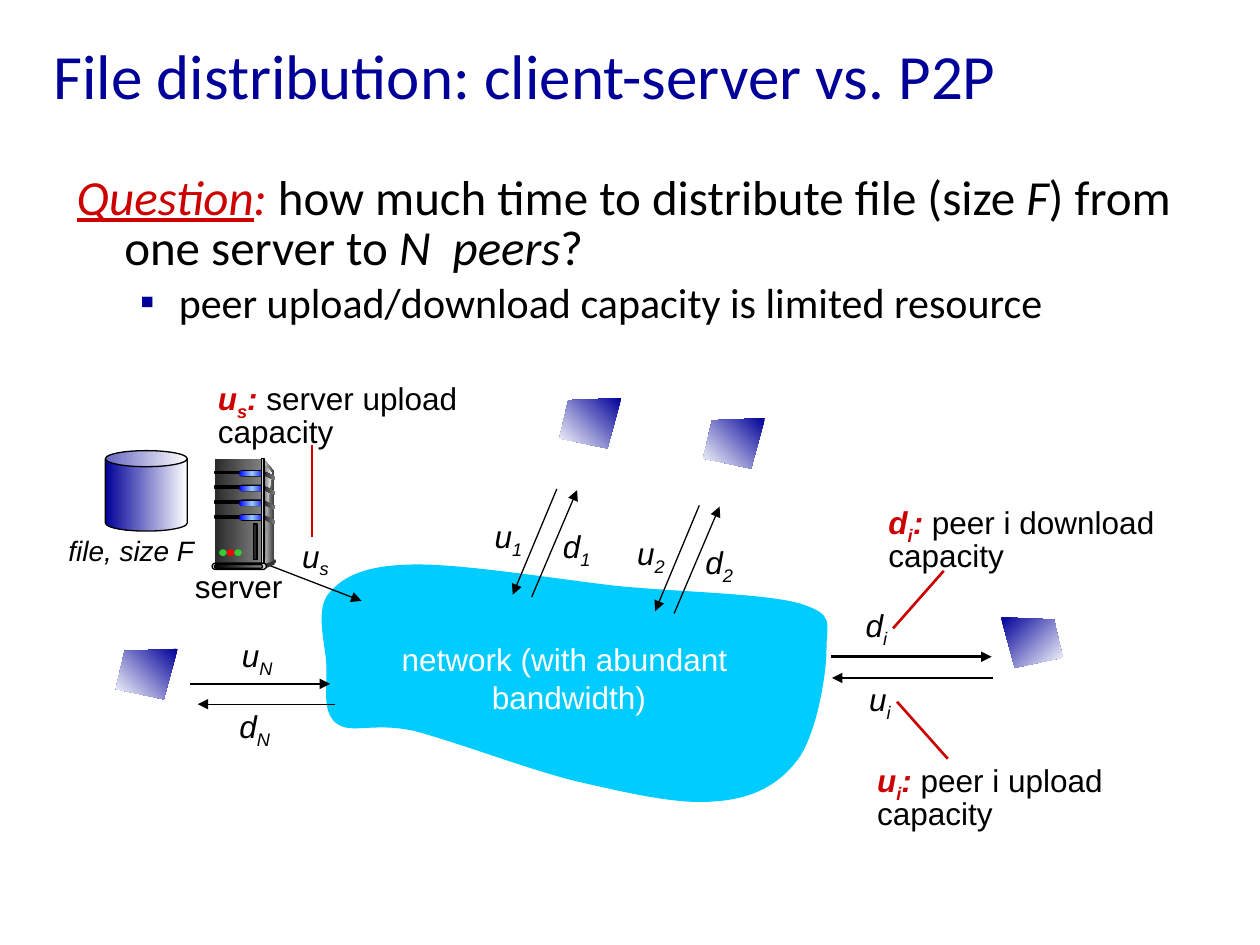
from dataclasses import dataclass
from typing import NamedTuple, Optional, Sequence, Union

from lxml import etree
from pptx import Presentation
from pptx import util as u
from pptx.dml.color import RGBColor
from pptx.enum import shapes, text
from pptx.oxml.ns import qn

Pt, SHAPE = u.Pt, shapes.MSO_SHAPE
RECT, PILL, OVAL = SHAPE.RECTANGLE, SHAPE.ROUNDED_RECTANGLE, SHAPE.OVAL
Fill = Union[str, Sequence[str]]  # one colour, or evenly spaced gradient stops
Point = tuple[float, float]
COLOURS = {
    "navy": "000099", "red": "CC0000", "black": "000000", "white": "FFFFFF", "cyan": "00CCFF",
    "dark": "292929", "slate": "333333", "grey": "808080", "silver": "DDDDDD", "pale": "F8F8F8",
    "blue": "0000FF", "sky": "99CCFF", "green": "33CC33", "signal": "FF0000",
}
CASE, FADE = ("dark", "grey"), ("navy", "white")

@dataclass
class Span:
    words: str
    colour: str = "black"
    bold: bool = False
    italic: bool = False
    underline: bool = False
    sub: bool = False
    gap: float = 0

@dataclass
class Label:
    bounds: tuple[float, float, float, float]
    lines: list[list[Span]]
    size: float = 18
    font: str = "Arial"
    centred: bool = False
    spacing: Optional[float] = None
    anchor: text.MSO_ANCHOR = text.MSO_ANCHOR.TOP

class Link(NamedTuple):
    start: Point
    end: Point
    colour: str = "black"
    weight: float = 0.75
    arrow: bool = True

def rgb(name: str) -> RGBColor:
    return RGBColor.from_string(COLOURS[name])

def paint(shape, fill: Fill, outlined: bool = False, angle: float = 0) -> None:
    shape.shadow.inherit = False
    if isinstance(fill, str):
        shape.fill.solid()
        shape.fill.fore_color.rgb = rgb(fill)
    else:
        shape.fill.gradient()
        shape.fill.gradient_angle = -angle % 360
        stops = next(shape._element.spPr.iter(qn("a:gsLst")))
        stops[:] = []
        for i, name in enumerate(fill):
            stop = etree.SubElement(stops, qn("a:gs"), pos=str(100000 * i // (len(fill) - 1)))
            etree.SubElement(stop, qn("a:srgbClr"), val=COLOURS[name])
    if outlined:
        shape.line.color.rgb, shape.line.width = rgb("black"), Pt(0.75)
    else:
        shape.line.fill.background()

def draw_label(page, label: Label):
    box = page.shapes.add_textbox(*map(Pt, label.bounds))
    frame = box.text_frame
    frame.word_wrap, frame.vertical_anchor = True, label.anchor
    for i, line in enumerate(label.lines):
        para = frame.add_paragraph() if i else frame.paragraphs[0]
        para.alignment = text.PP_ALIGN.CENTER if label.centred else None
        para.line_spacing = label.spacing
        for item in line:
            span = para.add_run()
            span.text = item.words
            font = span.font
            font.name, font.size, font.color.rgb = label.font, Pt(label.size), rgb(item.colour)
            font.bold, font.italic, font.underline = item.bold, item.italic, item.underline
            if item.sub:
                span._r.get_or_add_rPr().set("baseline", "-25000")
            if item.gap:
                span._r.get_or_add_rPr().set("spc", str(round(item.gap * 100)))
    return box

def draw_link(page, link: Link) -> None:
    line = page.shapes.add_connector(shapes.MSO_CONNECTOR.STRAIGHT, *map(Pt, link.start + link.end))
    line.line.color.rgb, line.line.width = rgb(link.colour), Pt(link.weight)
    if link.arrow:
        etree.SubElement(line.line._get_or_add_ln(), qn("a:tailEnd"), type="triangle")
    etree.SubElement(line._element.spPr, qn("a:effectLst"))

def draw_part(page, kind: SHAPE, bounds: Sequence[float], fill: Fill, outlined: bool = False):
    shape = page.shapes.add_shape(kind, *map(Pt, bounds))
    if kind == PILL:
        shape.adjustments[0] = 0.5
    paint(shape, fill, outlined)
    return shape

def draw_outline(page, points: Sequence[Point], fill: Fill, angle: float = 0, curves: int = 0) -> None:
    """Closed outline whose first segments, three points each, are cubic curves."""
    corners = [(Pt(x), Pt(y)) for x, y in points]
    builder = page.shapes.build_freeform(*corners[0])
    builder.add_line_segments(corners[1:], close=True)
    shape = builder.convert_to_shape()
    steps = list(shape._element.spPr.iter(qn("a:lnTo")))
    for i in range(0, curves * 3, 3):
        bend = etree.Element(qn("a:cubicBezTo"))
        steps[i].addprevious(bend)
        for step in steps[i:i + 3]:
            bend.append(step[0])
            step.getparent().remove(step)
    paint(shape, fill, angle=angle)

def draw_rate(page, left: float, top: float, letter: str, index: str) -> None:
    spans = [Span(letter, italic=True), Span(index, italic=True, sub=True)]
    draw_label(page, Label((left, top, 48, 28.8), [spans]))

def draw_callout(page, left: float, top: float, width: float, letter: str, index: str, meaning: str) -> None:
    red = dict(colour="red", bold=True, italic=True)
    spans = [Span(letter, **red), Span(index, sub=True, **red), Span(":", **red), Span(" " + meaning)]
    draw_label(page, Label((left, top, width, 44), [spans], spacing=0.85))

def draw_screen(page, left: float, top: float, mirrored: bool = False) -> None:
    corners = [(35.3, 0), (5, 1.2), (0, 23), (27.4, 28.8)]
    points = [(left + (35.3 - x if mirrored else x), top + y) for x, y in corners]
    draw_outline(page, points, FADE, 45 if mirrored else 135)

def draw_server(page) -> None:
    # Case
    draw_outline(page, [(151.2, 262.8), (157, 270), (157, 320.4), (149.8, 322.6)], ("silver", "slate"))
    draw_part(page, RECT, (122.7, 262.1, 26.6, 60.5), CASE)
    draw_outline(page, [(151.2, 266.4), (151.2, 266.4), (152.6, 266.4), (155.5, 270.7),
                        (151.2, 293), (151.9, 321.8), (151.2, 321.1)], ("grey", "pale"), curves=2)
    # Drive slots
    for i in range(4):
        y = 269.3 + 8.4 * i
        draw_outline(page, [(150.8, y), (157.2, y + 3), (157, y + 5.2), (150.8, y + 2.2)], CASE)
        draw_part(page, RECT, (122.8, y, 15.1, 1.5), "black", True)
        draw_part(page, PILL, (136.5, y - 0.7, 15.1, 3.8), "black")
        draw_part(page, PILL, (136.8, y, 14.4, 2.8), ("blue", "sky", "blue"))
    # Edge, foot and lamps
    draw_part(page, RECT, (149.3, 262.1, 1.6, 60.5), ("slate", "silver", "slate"), True)
    draw_part(page, OVAL, (156.2, 319.7, 1.5, 2.2), "slate")
    draw_outline(page, [(150.5, 322.6), (150.5, 325.4), (157, 322.6), (157, 320.4)], "slate")
    draw_part(page, PILL, (121.2, 321.8, 31, 3.6), "silver", True)
    draw_part(page, PILL, (122.6, 322.6, 27.4, 2.2), ("black", "grey"), True)
    for i, colour in enumerate(("green", "signal", "green")):
        draw_part(page, OVAL, (125.3 + 4.3 * i, 313.9, 4.3, 3.8), colour)
    draw_part(page, RECT, (144.7, 299.5, 2.2, 20.2), "dark", True)

def draw_question(page) -> None:
    question = [Span("Question", "red", italic=True, underline=True), Span(":", "red", italic=True),
                Span(" how much time to distribute file (size "), Span("F", italic=True),
                Span(") from one server to "), Span("N", italic=True), Span(" ", italic=True, gap=6.3),
                Span("peers", italic=True), Span("?")]
    limit = [Span("peer upload/download capacity is limited resource")]
    box = draw_label(page, Label((36.7, 96.5, 650, 70), [question, limit], 28, "Calibri", spacing=0.85))
    first, second = box.text_frame.paragraphs
    second.space_before, second.runs[0].font.size = Pt(5), Pt(24)
    for para, margin, hang in ((first, 27.2, 27.2), (second, 58.4, 22.3)):
        props = para._p.get_or_add_pPr()
        props.set("marL", str(Pt(margin)))
        props.set("indent", str(-Pt(hang)))
    etree.SubElement(etree.SubElement(props, qn("a:buClr")), qn("a:srgbClr"), val=COLOURS["navy"])
    etree.SubElement(props, qn("a:buFont"), typeface="Arial")
    etree.SubElement(props, qn("a:buChar"), char="▪")

def main() -> None:
    deck = Presentation()
    deck.slide_width, deck.slide_height = Pt(720), Pt(540)
    page = deck.slides.add_slide(deck.slide_layouts[6])
    # Heading and question
    heading = [Span("File distribution: client-server vs. P2P", "navy")]
    draw_label(page, Label((23.5, 12, 671, 61), [heading], 36, "Calibri", anchor=text.MSO_ANCHOR.MIDDLE))
    draw_question(page)
    # Network
    draw_outline(page, [
        (234.7, 322.6), (207.4, 323.3), (195.8, 329.8), (187.9, 339.1), (180, 348.5), (185.8, 367.2),
        (186.5, 379.4), (187.2, 391.7), (183.6, 406.8), (192.2, 413.3), (200.2, 419.8), (213.1, 412.6),
        (236.2, 417.6), (259.2, 423.4), (300.2, 439.2), (329, 446.4), (357.8, 452.9), (387.4, 460.1),
        (409, 457.9), (429.8, 456.5), (445, 448.6), (455.8, 434.2), (466.6, 419.8), (472.3, 385.9),
        (472.3, 370.8), (472.3, 355.7), (477.4, 351.4), (457.2, 344.9), (437, 339.1), (388.8, 338.4),
        (352.1, 334.8), (315.4, 330.5), (262.1, 321.8), (234.7, 322.6)], "cyan", curves=11)
    words = [[Span("network (with abundant", "white")], [Span("bandwidth)", "white")]]
    box = draw_label(page, Label((222.5, 362.2, 200.2, 50.4), words, centred=True))
    box.text_frame.margin_left = box.text_frame.margin_right = Pt(3)
    box.text_frame.paragraphs[1]._p.get_or_add_pPr().set("marL", str(Pt(5)))
    # File and server
    can = draw_part(page, SHAPE.CAN, (60.2, 257.5, 46.8, 46), FADE, True)
    can.adjustments[0] = 0.2
    draw_label(page, Label((20, 301.2, 110, 26.6), [[Span("file, size F", italic=True)]], 16, centred=True))
    draw_label(page, Label((90.4, 320.4, 92, 28.8), [[Span("server")]], centred=True))
    # Links of peers 1 and 2
    for i in range(2):
        dx, dy = 81.4 * i, 9.4 * i
        draw_rate(page, 275.6 + dx, 292.1 + dy, "u", str(i + 1))
        draw_link(page, Link((318.2 + dx, 279.4 + dy), (293 + dx, 339.8 + dy)))
        draw_link(page, Link((303.8 + dx, 341.2 + dy), (329.8 + dx, 280.1 + dy)))
        draw_rate(page, 314.6 + dx, 297.6 + dy, "d", str(i + 1))
    # Links of the server, peer N and peer i
    for link in (Link((143.3, 319), (206.6, 343.4)), Link((108.7, 390.8), (188.6, 390.8)),
                 Link((191.5, 402.4), (113, 402.4)), Link((474.9, 375.3), (566.6, 375.3), weight=1.5),
                 Link((567.4, 387.4), (475.4, 387.4), weight=1.5),
                 Link((178.4, 254.2), (178.4, 306.7), "red", 1.5, False),
                 Link((539.3, 326.2), (510.3, 359.1), "red", 1.5, False),
                 Link((541.6, 433.6), (512.6, 401), "red", 1.5, False)):
        draw_link(page, link)
    for rate in ((165.6, 303.1, "u", "s"), (131.2, 360, "u", "N"), (129.7, 400.3, "d", "N"),
                 (487.6, 342.7, "d", "i"), (489.6, 385.2, "u", "i")):
        draw_rate(page, *rate)
    # Explanations
    draw_callout(page, 117.4, 214.6, 158.4, "u", "s", "server upload capacity")
    draw_callout(page, 494.2, 432.7, 203.8, "u", "i", "peer i upload capacity")
    draw_callout(page, 500.6, 285.1, 167, "d", "i", "peer i download capacity")
    # Machines
    draw_server(page)
    for left, top in ((66.2, 370.8), (319.7, 227.5), (401.8, 239)):
        draw_screen(page, left, top)
    draw_screen(page, 572, 352.8, mirrored=True)
    deck.save("out.pptx")

if __name__ == "__main__":
    main()
